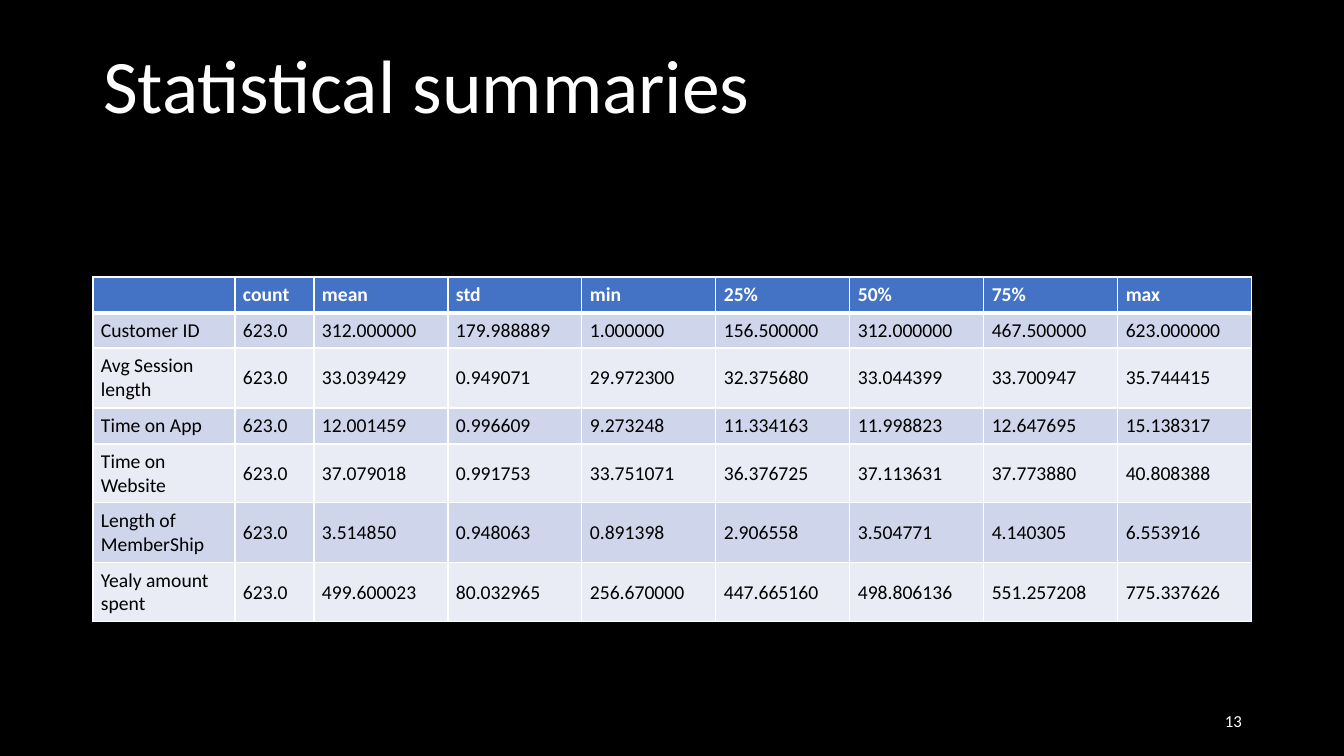
import lxml.etree
import pptx
import pptx.dml.color
import pptx.enum.text
import pptx.oxml.ns
import pptx.util

SCALE = 914400 / 100.8
FONT = "Calibri"
COLORS = {
    "background": "000000",
    "light": "FFFFFF",
    "dark": "000000",
    "header": "4472C4",
    "odd": "CFD5EA",
    "even": "E9EBF5",
}
COLUMN_WIDTHS = [142, 79] + [134] * 7
ROW_HEIGHTS = [36, 35, 60, 36, 59, 60, 59]
SUMMARY = [
    ["", "count", "mean", "std", "min", "25%", "50%", "75%", "max"],
    ["Customer ID", "623.0", "312.000000", "179.988889", "1.000000",
     "156.500000", "312.000000", "467.500000", "623.000000"],
    ["Avg Session length", "623.0", "33.039429", "0.949071", "29.972300",
     "32.375680", "33.044399", "33.700947", "35.744415"],
    ["Time on App", "623.0", "12.001459", "0.996609", "9.273248",
     "11.334163", "11.998823", "12.647695", "15.138317"],
    ["Time on Website", "623.0", "37.079018", "0.991753", "33.751071",
     "36.376725", "37.113631", "37.773880", "40.808388"],
    ["Length of MemberShip", "623.0", "3.514850", "0.948063", "0.891398",
     "2.906558", "3.504771", "4.140305", "6.553916"],
    ["Yealy amount spent", "623.0", "499.600023", "80.032965", "256.670000",
     "447.665160", "498.806136", "551.257208", "775.337626"],
]


def px(pixels):
    return pptx.util.Emu(round(pixels * SCALE))


def color(name):
    return pptx.dml.color.RGBColor.from_string(COLORS[name])


def add_element(parent, tag, **attributes):
    return lxml.etree.SubElement(parent, pptx.oxml.ns.qn(tag), attributes)


def add_span(para, text, size, color_name, bold=False):
    span = para.add_run()
    span.text = text
    span.font.name = FONT
    span.font.size = pptx.util.Pt(size)
    span.font.bold = bold
    span.font.color.rgb = color(color_name)


def set_frame(frame, anchor):
    frame.word_wrap = True
    frame.auto_size = pptx.enum.text.MSO_AUTO_SIZE.NONE
    frame.vertical_anchor = anchor


def add_title(page, text):
    title = page.shapes.title
    title.left, title.top, title.width, title.height = map(px, (93, 32, 1159, 103))
    set_frame(title.text_frame, pptx.enum.text.MSO_ANCHOR.BOTTOM)
    para = title.text_frame.paragraphs[0]
    para.alignment = pptx.enum.text.PP_ALIGN.LEFT
    para.line_spacing = 0.9
    add_span(para, text, 54, "light")


def add_page_number(page, text):
    box = page.shapes.add_textbox(*map(px, (950, 701, 302, 40)))
    set_frame(box.text_frame, pptx.enum.text.MSO_ANCHOR.MIDDLE)
    para = box.text_frame.paragraphs[0]
    para.alignment = pptx.enum.text.PP_ALIGN.RIGHT
    para.space_after = pptx.util.Pt(6)
    add_span(para, text, 12, "light")


def add_borders(cell, top, bottom):
    properties = cell._tc.get_or_add_tcPr()
    for side, points in (("L", 1), ("R", 1), ("T", top), ("B", bottom)):
        line = add_element(properties, f"a:ln{side}", w=str(pptx.util.Pt(points)))
        fill = add_element(line, "a:solidFill")
        add_element(fill, "a:srgbClr", val=COLORS["light"])


def fill_cell(cell, text, row_index):
    is_header = row_index == 0
    add_borders(cell, 3 if row_index == 1 else 1, 3 if is_header else 1)
    cell.margin_left = cell.margin_right = px(8)
    cell.margin_top = cell.margin_bottom = px(4)
    cell.vertical_anchor = pptx.enum.text.MSO_ANCHOR.MIDDLE
    cell.fill.solid()
    band = "odd" if row_index % 2 else "even"
    cell.fill.fore_color.rgb = color("header" if is_header else band)
    para = cell.text_frame.paragraphs[0]
    if text:
        add_span(para, text, 14, "light" if is_header else "dark", is_header)
    else:
        add_element(para._p, "a:endParaRPr", sz="1400")


def add_summary_table(page):
    frame = page.shapes.add_table(
        len(SUMMARY), len(SUMMARY[0]), px(93), px(277),
        px(sum(COLUMN_WIDTHS)), px(sum(ROW_HEIGHTS)))
    table = frame.table
    for column, width in zip(table.columns, COLUMN_WIDTHS):
        column.width = px(width)
    for row, height in zip(table.rows, ROW_HEIGHTS):
        row.height = px(height)
    for row_index, values in enumerate(SUMMARY):
        for column_index, text in enumerate(values):
            fill_cell(table.cell(row_index, column_index), text, row_index)


def main():
    deck = pptx.Presentation()
    deck.slide_width, deck.slide_height = px(1344), px(756)
    page = deck.slides.add_slide(deck.slide_layouts[5])
    page.background.fill.solid()
    page.background.fill.fore_color.rgb = color("background")
    add_title(page, "Statistical summaries")
    add_page_number(page, "13")
    add_summary_table(page)
    deck.save("out.pptx")


main()
